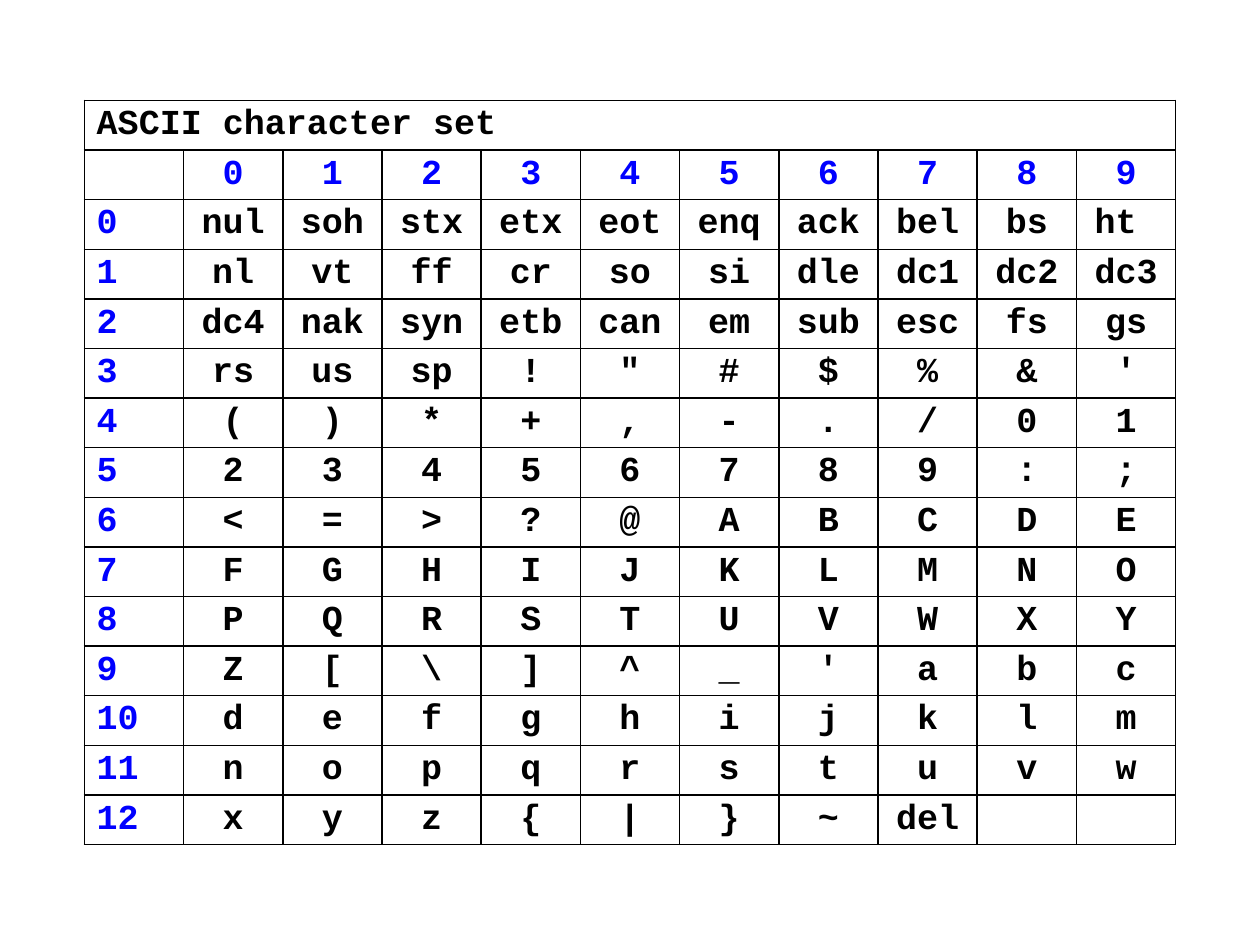
import dataclasses

import lxml.etree
import pptx
import pptx.dml.color
import pptx.enum.text
import pptx.oxml.ns
import pptx.util

Cm = pptx.util.Cm
ALIGN = pptx.enum.text.PP_ALIGN
BLACK = pptx.dml.color.RGBColor(0x00, 0x00, 0x00)
BLUE = pptx.dml.color.RGBColor(0x00, 0x00, 0xFF)

FONT = "Courier New"
DIGITS = 10
COLUMN_WIDTH = Cm(2)
ROW_HEIGHT = Cm(1)

CONTROL_NAMES = (
    "nul,soh,stx,etx,eot,enq,ack,bel,bs,ht ,"
    "nl,vt,ff,cr,so,si,dle,dc1,dc2,dc3 ,"
    "dc4,nak,syn,etb,can,em,sub,esc,fs,gs,"
    "rs,us,sp"
).split(",")


@dataclasses.dataclass(frozen=True)
class Entry:
    row: int
    column: int
    text: str
    color: pptx.dml.color.RGBColor = BLACK
    align: ALIGN = ALIGN.CENTER


def write_text(cell, text: str, *, color=BLACK, align=ALIGN.LEFT,
               size: float = 20, bold: bool = True) -> None:
    paragraph = cell.text_frame.paragraphs[0]
    paragraph.alignment = align
    run = paragraph.add_run()
    run.text = text
    run.font.name = FONT
    run.font.size = pptx.util.Pt(size)
    run.font.bold = bold
    run.font.color.rgb = color


def style_cell(cell) -> None:
    cell.margin_left = cell.margin_right = Cm(0.25)
    cell.margin_top = cell.margin_bottom = 0
    cell.vertical_anchor = pptx.enum.text.MSO_ANCHOR.MIDDLE
    properties = cell._tc.get_or_add_tcPr()
    qn = pptx.oxml.ns.qn
    for side in ("lnL", "lnR", "lnT", "lnB"):
        line = lxml.etree.SubElement(properties, qn(f"a:{side}"),
                                     w=str(pptx.util.Pt(1)))
        fill = lxml.etree.SubElement(line, qn("a:solidFill"))
        lxml.etree.SubElement(fill, qn("a:srgbClr"), val=str(BLACK))
    cell.fill.background()


def ascii_names() -> list[str]:
    printable = [chr(code) for code in range(len(CONTROL_NAMES), 127)]
    names = CONTROL_NAMES + printable + ["del"]
    names[96] = "'"
    return names


# Entries: column digits, row tens, then the character for each code
names = ascii_names()
tens_count = -(-len(names) // DIGITS)
entries = [Entry(0, 0, "ASCII character set", align=ALIGN.LEFT)]
entries += [Entry(1, digit + 1, str(digit), BLUE) for digit in range(DIGITS)]
entries += [Entry(tens + 2, 0, str(tens), BLUE, ALIGN.LEFT)
            for tens in range(tens_count)]
entries += [Entry(code // DIGITS + 2, code % DIGITS + 1, name)
            for code, name in enumerate(names)]

# Slide
presentation = pptx.Presentation()
presentation.slide_width = Cm(25.4)
presentation.slide_height = Cm(19.05)
slide = presentation.slides.add_slide(presentation.slide_layouts[6])

# Centred table
row_count, column_count = tens_count + 2, DIGITS + 1
width, height = COLUMN_WIDTH * column_count, ROW_HEIGHT * row_count
ascii_table = slide.shapes.add_table(
    row_count, column_count,
    (presentation.slide_width - width) // 2,
    (presentation.slide_height - height) // 2,
    width, height).table
ascii_table.first_row = ascii_table.horz_banding = False
for column in ascii_table.columns:
    column.width = COLUMN_WIDTH
for row in ascii_table.rows:
    row.height = ROW_HEIGHT
for cell in ascii_table.iter_cells():
    style_cell(cell)
ascii_table.cell(0, 0).merge(ascii_table.cell(0, column_count - 1))

# Contents
for entry in entries:
    write_text(ascii_table.cell(entry.row, entry.column), entry.text,
               color=entry.color, align=entry.align)

presentation.save("out.pptx")
